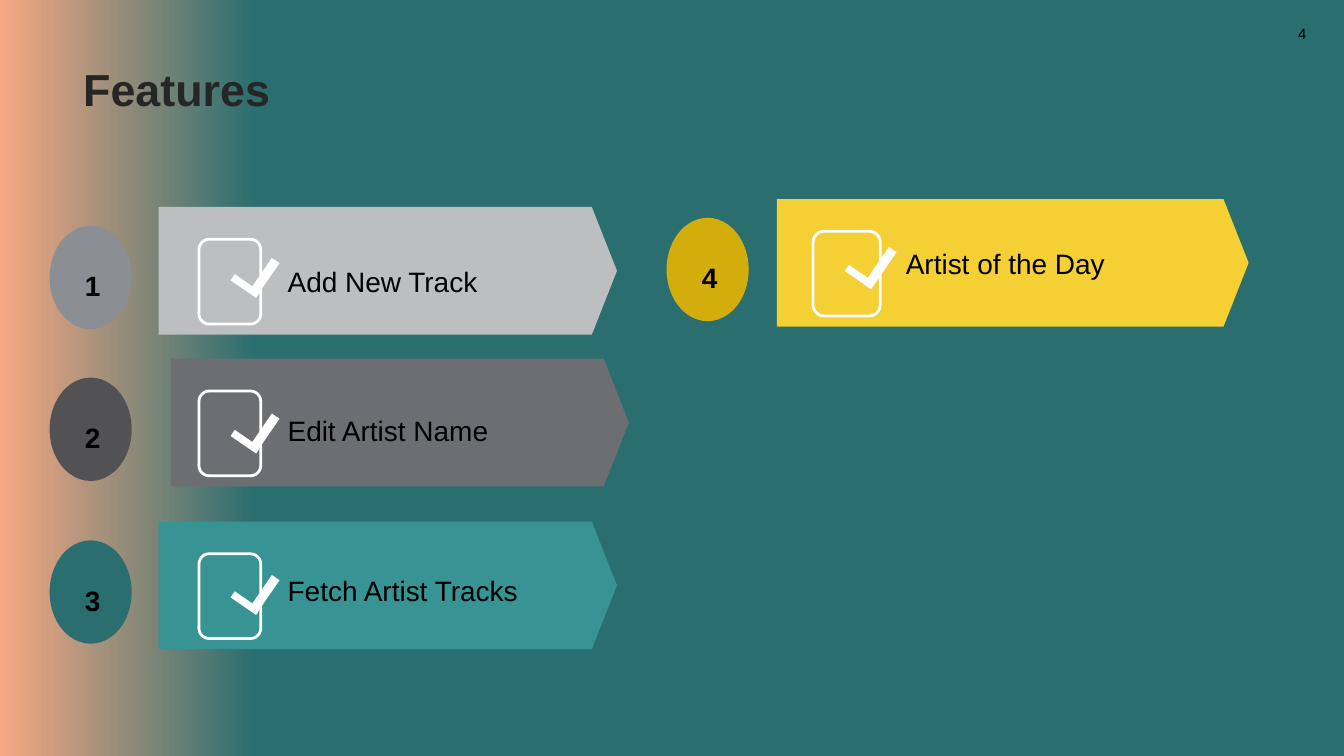
from pptx import Presentation
from pptx.dml.color import RGBColor
from pptx.enum import shapes, text
from pptx.util import Pt

FONT = "Arial"
WHITE = "FFFFFF"
SHAPE = shapes.MSO_SHAPE


def add_shape(parent, kind, left, top, width, height, fill=None, line=None):
    shape = parent.add_shape(kind, Pt(left), Pt(top), Pt(width), Pt(height))
    shape.shadow.inherit = False
    if fill:
        shape.fill.solid()
        shape.fill.fore_color.rgb = RGBColor.from_string(fill)
    else:
        shape.fill.background()
    if line:
        shape.line.color.rgb = RGBColor.from_string(line)
        shape.line.width = Pt(1.5)
    else:
        shape.line.fill.background()
    return shape


def write(shape, words, box, size=15, color="000000", bold=False,
          align=text.PP_ALIGN.LEFT, side=0):
    """Place a text shape at box and fill it with one formatted paragraph."""
    shape.left, shape.top, shape.width, shape.height = map(Pt, box)
    frame = shape.text_frame
    frame.word_wrap = True
    frame.vertical_anchor = text.MSO_ANCHOR.MIDDLE
    frame.margin_left = frame.margin_right = Pt(side)
    frame.margin_top = frame.margin_bottom = 0
    paragraph = frame.paragraphs[0]
    paragraph.alignment = align
    run = paragraph.add_run()
    run.text = words
    run.font.name, run.font.size, run.font.bold = FONT, Pt(size), bold
    run.font.color.rgb = RGBColor.from_string(color)


presentation = Presentation()
presentation.slide_width, presentation.slide_height = Pt(720), Pt(405)
slide = presentation.slides.add_slide(presentation.slide_layouts[5])

# Background: peach at the left edge, teal from 19 % on
background = slide.background.fill
background.gradient()
background.gradient_angle = 0
for stop, (position, color) in zip(background.gradient_stops,
                                   [(0, "F8A883"), (0.19, "2A6E6F")]):
    stop.position = position
    stop.color.rgb = RGBColor.from_string(color)

write(slide.shapes.title, "Features", (37.4, 30.2, 666.7, 34.6),
      size=24, color="262626", bold=True, side=7.2)
page_number = slide.shapes.add_textbox(0, 0, 0, 0)
write(page_number, "4", (688.3, 7.2, 35.3, 21.6), size=8, side=7.2)

# Column: oval left, box left, box width, label left, arrow width
left_column = (26.6, 106.6, 33.1, 154.1, 245.5)
right_column = (357.1, 435.6, 36, 485.3, 252.7)

# Feature: label, column, arrow left, arrow top, tick offset, label offset,
# oval colour, arrow colour
features = [
    ("Add New Track", left_column, 85, 110.9, 35.3, 39.6, "8B8E92", "BCBEC0"),
    ("Edit Artist Name", left_column, 91.4, 192.2, 37.4, 38.2, "525255", "6D6E71"),
    ("Fetch Artist Tracks", left_column, 85, 279.4, 36.7, 36.7, "2A6E6F", "389394"),
    ("Artist of the Day", right_column, 416.2, 106.6, 34.6, 34.6, "D3AD0B", "F4D034"),
]

for number, feature in enumerate(features, start=1):
    label, column, arrow_left, top, tick_offset, label_offset, dark, light = feature
    oval_left, box_left, box_width, label_left, arrow_width = column

    add_shape(slide.shapes, SHAPE.OVAL, oval_left, top + 10.1, 44, 55.4, fill=dark)
    arrow = add_shape(slide.shapes, SHAPE.PENTAGON, arrow_left, top,
                      arrow_width, 68.4, fill=light)
    arrow.adjustments[0] = 0.197
    add_shape(slide.shapes, SHAPE.ROUNDED_RECTANGLE, box_left, top + 17.3,
              box_width, 45.4, line=WHITE)

    tick = slide.shapes.add_group_shape().shapes
    tick_top = top + tick_offset
    long_stroke = add_shape(tick, SHAPE.RECTANGLE, box_left + 23.8, tick_top,
                            box_width * 0.67, 5, fill=WHITE)
    long_stroke.rotation = 304.5
    short_stroke = add_shape(tick, SHAPE.RECTANGLE, box_left + 16.6, tick_top + 5,
                             16.6, 4, fill=WHITE)
    short_stroke.rotation = 214.5

    write(slide.shapes.add_textbox(0, 0, 0, 0), str(number),
          (oval_left + 10.8, top + 23, 24.5, 38.2),
          bold=True, align=text.PP_ALIGN.CENTER)
    write(slide.shapes.add_textbox(0, 0, 0, 0), label,
          (label_left, top + label_offset - 23.8, 168, 47.5))

presentation.save("out.pptx")
